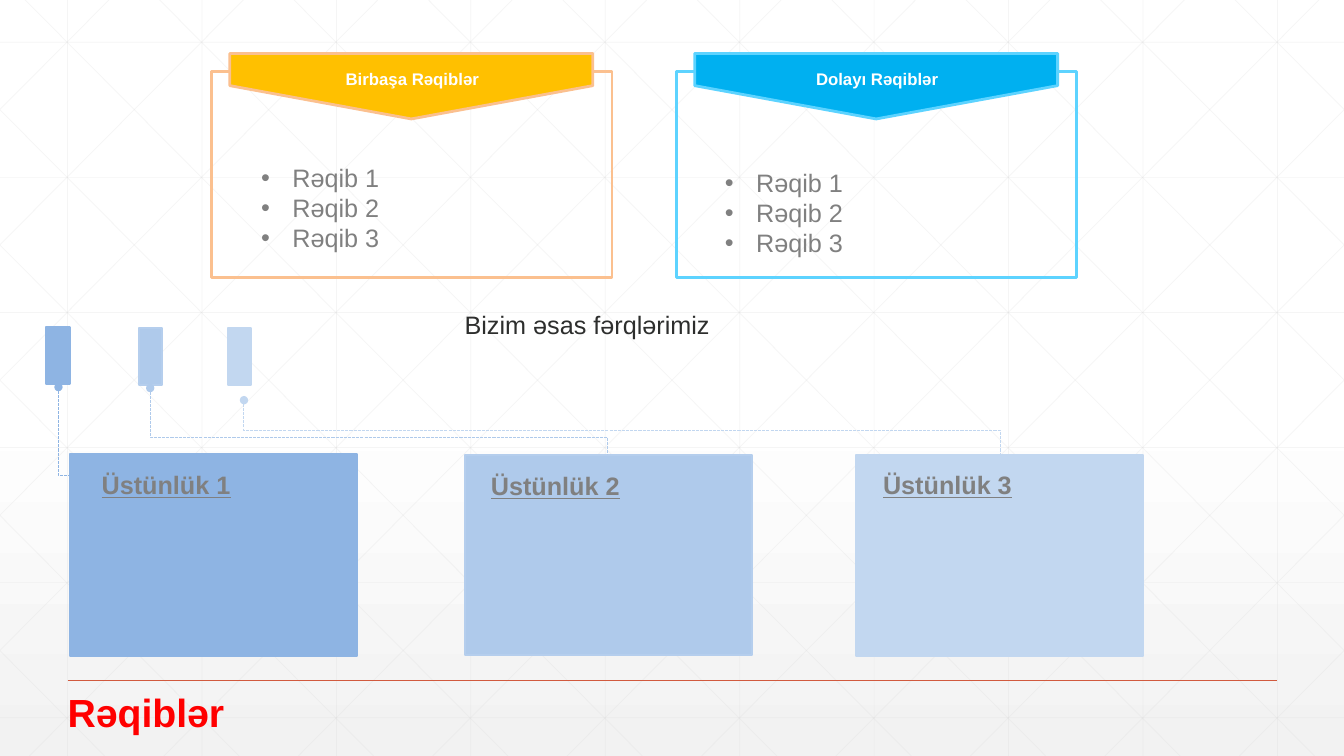
from copy import deepcopy

from lxml.etree import SubElement
from pptx import Presentation
from pptx.dml.color import RGBColor
from pptx.enum.dml import MSO_LINE
from pptx.enum.shapes import MSO_CONNECTOR, MSO_SHAPE
from pptx.enum.text import MSO_ANCHOR, MSO_AUTO_SIZE, PP_ALIGN
from pptx.oxml.ns import qn
from pptx.util import Inches, Pt

WIDTH, HEIGHT = 13.33, 7.5
GRID_STEP = 4 / 3
DIAGONAL_SLOPE = 0.994


def paint(color_format, color):
    """Set a colour from a hex string."""
    color_format.rgb = RGBColor.from_string(color)


class SlideBuilder:
    """Hold the slide style and the current page."""

    font = "Arial"
    grey = "808080"
    grid_color = "D9D9D9"

    def __init__(self, page):
        """Start drawing on a page."""
        self.page = page

    def background(self, stops):
        """Fill the page with a vertical gradient of position and colour pairs."""
        fill = self.page.background.fill
        fill.gradient()
        fill.gradient_angle = 270
        first_stop = next(self.page.element.iter(qn("a:gs")))
        first_stop.addnext(deepcopy(first_stop))
        for stop, (position, color) in zip(fill.gradient_stops, stops):
            stop.position = position
            paint(stop.color, color)

    def outline(self, shape, color, width):
        """Give a shape a solid line."""
        shape.line.fill.solid()
        paint(shape.line.color, color)
        shape.line.width = Pt(width)

    def finish(self, shape, fill, line, width):
        """Style a shape with a fill, a line and no shadow."""
        shape.shadow.inherit = False
        if fill:
            shape.fill.solid()
            paint(shape.fill.fore_color, fill)
        else:
            shape.fill.background()
        self.outline(shape, line, width)
        return shape

    def line(self, start, end, color, width, opacity=None):
        """Draw a straight line."""
        points = [Inches(value) for value in (*start, *end)]
        connector = self.page.shapes.add_connector(MSO_CONNECTOR.STRAIGHT, *points)
        self.outline(connector, color, width)
        if opacity:
            color_node = next(connector.element.iter(qn("a:srgbClr")))
            SubElement(color_node, qn("a:alpha"), val=str(opacity * 1000))
        SubElement(connector.element.spPr, qn("a:effectLst"))

    def grid(self):
        """Draw the faint straight and diagonal grid."""
        def faint(start, end):
            """Draw one grid line."""
            self.line(start, end, self.grid_color, 0.5, opacity=25)

        for column in range(10):
            x = 0.67 + GRID_STEP * column
            faint((x, 0), (x, HEIGHT))
        for row in range(6):
            y = 0.42 + 1.34 * row
            faint((0, y), (WIDTH, y))
        for index in range(-5, 10):
            origin = 0.25 + GRID_STEP * index
            top = max(0, -origin / DIAGONAL_SLOPE)
            bottom = min(HEIGHT, (WIDTH - origin) / DIAGONAL_SLOPE)
            left, right = (origin + DIAGONAL_SLOPE * y for y in (top, bottom))
            faint((left, top), (right, bottom))
            faint((WIDTH - left, top), (WIDTH - right, bottom))

    def rectangle(self, bounds, fill, line, width):
        """Draw a rectangle."""
        shape = self.page.shapes.add_shape(
            MSO_SHAPE.RECTANGLE, *(Inches(value) for value in bounds))
        self.finish(shape, fill, line, width)

    def outline_path(self, points, fill, line, width, close=True):
        """Draw a freeform through the points."""
        corners = [(Inches(x), Inches(y)) for x, y in points]
        builder = self.page.shapes.build_freeform(*corners[0])
        builder.add_line_segments(corners[1:], close=close)
        return self.finish(builder.convert_to_shape(), fill, line, width)

    def dotted_path(self, points, color):
        """Draw a dashed open path that starts with a dot."""
        shape = self.outline_path(points, None, color, 0.75, close=False)
        shape.line.dash_style = MSO_LINE.SQUARE_DOT
        SubElement(shape.element.spPr.find(qn("a:ln")), qn("a:headEnd"), type="oval")

    def text(self, text, bounds, size=18, color=grey, bold=False, underline=False,
             align=PP_ALIGN.LEFT, anchor=MSO_ANCHOR.TOP, inset=(0.1, 0.05),
             bullet=False, holder=None):
        """Write text in a placeholder or a new box, one paragraph a line."""
        left, top, width, height = (Inches(value) for value in bounds)
        box = holder or self.page.shapes.add_textbox(left, top, width, height)
        box.left, box.top, box.width, box.height = left, top, width, height
        tree = box.element.getparent()
        tree.append(box.element)
        frame = box.text_frame
        frame.word_wrap = True
        frame.auto_size = MSO_AUTO_SIZE.NONE
        frame.vertical_anchor = anchor
        frame.margin_left = frame.margin_right = Inches(inset[0])
        frame.margin_top = frame.margin_bottom = Inches(inset[1])
        frame.text = text
        for para in frame.paragraphs:
            para.alignment = align
            para.space_before = Pt(0)
            if bullet:
                self.bullet(para)
            for span in para.runs:
                span.font.name = self.font
                span.font.size = Pt(size)
                span.font.bold = bold
                span.font.underline = underline
                paint(span.font.color, color)

    def bullet(self, para):
        """Give a paragraph a hanging round bullet."""
        properties = para._p.get_or_add_pPr()
        properties.set("marL", str(Inches(0.31)))
        properties.set("indent", str(-Inches(0.31)))
        SubElement(properties, qn("a:buFont"), typeface=self.font)
        SubElement(properties, qn("a:buChar"), char="•")

    def rival_card(self, left, title, fill, line, list_bounds, holder):
        """Draw a framed list of rivals under a pointed ribbon."""
        self.rectangle((left, 0.71, 3.97, 2.04), None, line, 2)
        start, middle, end = left + 0.18, left + 1.98, left + 3.78
        ribbon = [(start, 0.53), (end, 0.53), (end, 0.85), (middle, 1.18), (start, 0.85)]
        self.outline_path(ribbon, fill, line, 2)
        self.text(title, (left + 0.55, 0.42, 2.88, 0.72), size=12, color="FFFFFF",
                  bold=True, align=PP_ALIGN.CENTER, anchor=MSO_ANCHOR.MIDDLE, inset=(0, 0))
        rivals = "\n".join(f"Rəqib {number}" for number in range(1, 4))
        self.text(rivals, list_bounds, bullet=True, holder=holder)

    def advantage(self, title, title_place, panel, tab, path, fill, line):
        """Draw an advantage panel with its tab and connecting path."""
        self.rectangle(panel, fill, line, 1.5)
        self.rectangle((*tab, 0.23, 0.57), fill, line, 1.5)
        self.dotted_path(path, fill)
        self.text(title, (*title_place, 2.51, 0.4), bold=True, underline=True)


def main():
    """Build and save the deck."""
    deck = Presentation()
    deck.slide_width, deck.slide_height = Inches(WIDTH), Inches(HEIGHT)
    page = deck.slides.add_slide(deck.slide_layouts[3])
    title, direct, indirect = list(page.placeholders)[:3]
    slide = SlideBuilder(page)
    slide.background([(0, "FFFFFF"), (0.53, "FFFFFF"), (1, "F2F2F2")])
    slide.grid()
    slide.line((0.67, 6.75), (12.67, 6.75), "D15A3E", 1)
    slide.text("Rəqiblər", (0.57, 6.78, 8.12, 0.57), size=28, color="FF0000",
               bold=True, holder=title)
    slide.rival_card(2.1, "Birbaşa Rəqiblər", "FFC000", "FBC08F",
                     (2.49, 1.56, 3.21, 1.01), direct)
    slide.rival_card(6.71, "Dolayı Rəqiblər", "00B0F0", "5DD3FF",
                     (7.09, 1.61, 3.21, 1.01), indirect)
    slide.text("Bizim əsas fərqlərimiz", (4.51, 3.02, 6.83, 0.4), color="2D2E2D")
    slide.advantage("Üstünlük 1", (0.91, 4.61), (0.69, 4.5, 2.85, 2.01), (0.46, 3.24),
                    [(0.58, 3.84), (0.58, 4.72), (0.8, 4.72)], "8EB4E3", "8EB4E3")
    slide.advantage("Üstünlük 2", (4.77, 4.62), (4.61, 4.51, 2.85, 1.99), (1.38, 3.25),
                    [(1.49, 3.85), (1.49, 4.34), (6.03, 4.34), (6.03, 4.51)],
                    "AFCAEB", "B5CEED")
    slide.advantage("Üstünlük 3", (8.66, 4.61), (8.49, 4.51, 2.85, 2), (2.26, 3.25),
                    [(2.42, 3.97), (2.42, 4.27), (9.92, 4.27), (9.92, 4.61)],
                    "C2D7F0", "C2D7F0")
    deck.save("out.pptx")


if __name__ == "__main__":
    main()
